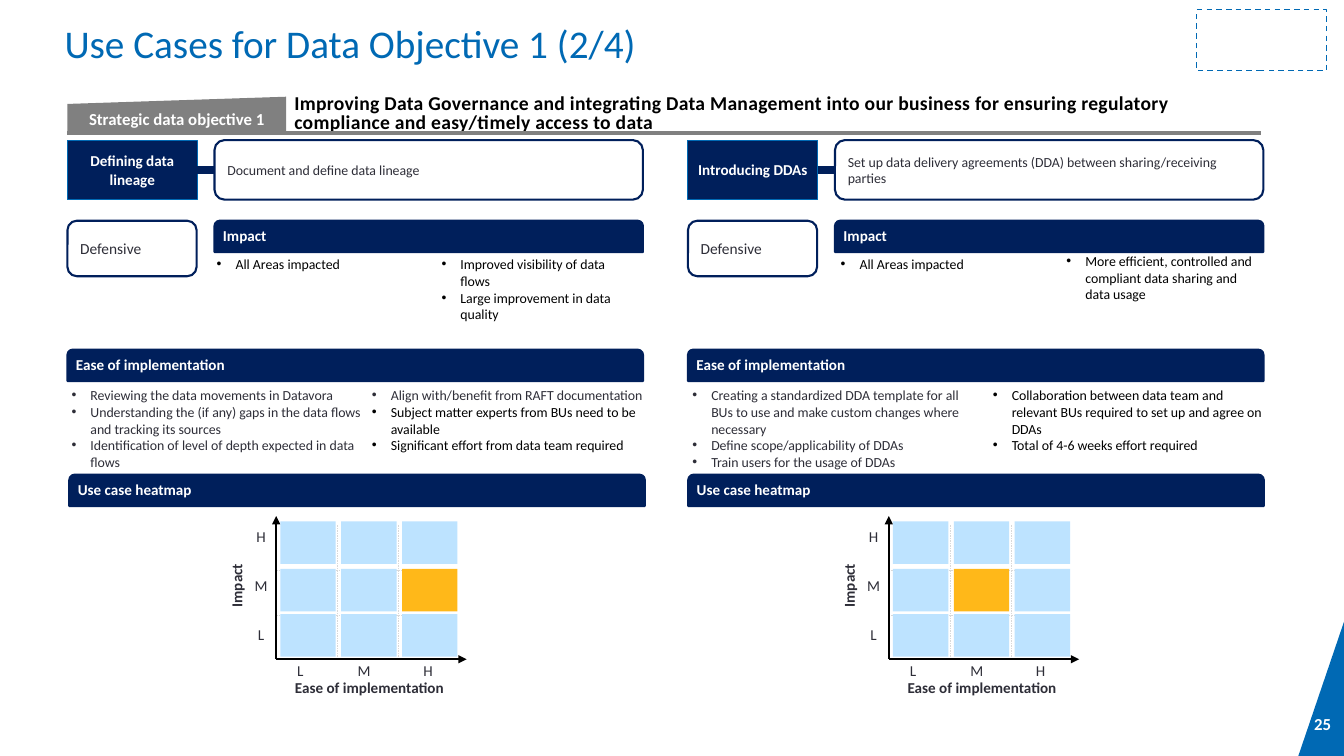
from lxml.etree import SubElement
from pptx import Presentation
from pptx.dml.color import RGBColor
from pptx.enum.dml import MSO_LINE as DASH
from pptx.enum.shapes import MSO_CONNECTOR as CONN, MSO_SHAPE as SHAPE
from pptx.enum.text import MSO_ANCHOR as ANCHOR, PP_ALIGN as ALIGN
from pptx.oxml.ns import qn
from pptx.util import Pt

COLORS = {
    "navy": "001F5B", "blue": "0069B4", "ink": "2E2E38", "black": "000000",
    "white": "FFFFFF", "gray": "808080", "grid": "D9D9D9",
    "cell": "BDE3FF", "hit": "FFB819",
}
FONT = "Calibri"
LEVELS = "LMH"
HEADER_H = 22.4

USE_CASES = [
    {
        "x": 48.2, "heat_x": 197.3, "heat_head_x": 49.5, "hit": (1, 2),
        "name": "Defining data lineage",
        "summary": "Document and define data lineage",
        "lists": [
            ((154.8, 179.3, 170), [("All Areas impacted", "black")]),
            ((315.4, 179.3, 136), [
                ("Improved visibility of data flows", "black"),
                ("Large improvement in data quality", "black")]),
            ((51.1, 272.9, 212.4), [
                ("Reviewing the data movements in Datavora", "ink"),
                ("Understanding the (if any) gaps in the data flows and tracking its sources", "ink"),
                ("Identification of level of depth expected in data flows", "ink")]),
            ((265.7, 272.9, 194), [
                ("Align with/benefit from RAFT documentation", "ink"),
                ("Subject matter experts from BUs need to be available", "black"),
                ("Significant effort from data team required", "black")]),
        ],
    },
    {
        "x": 491.4, "heat_x": 634.9, "heat_head_x": 491.6, "hit": (1, 1),
        "name": "Introducing DDAs",
        "summary": "Set up data delivery agreements (DDA) between sharing/receiving parties",
        "lists": [
            ((600.5, 179.3, 157.7), [("All Areas impacted", "black")]),
            ((761.8, 177.1, 136), [
                ("More efficient, controlled and compliant data sharing and data usage", "black")]),
            ((494.6, 272.9, 206.6), [
                ("Creating a standardized DDA template for all BUs to use and make custom "
                 "changes where necessary", "ink"),
                ("Define scope/applicability of DDAs", "ink"),
                ("Train users for the usage of DDAs", "ink")]),
            ((709.2, 272.9, 193), [
                ("Collaboration between data team and relevant BUs required to set up and "
                 "agree on DDAs", "black"),
                ("Total of 4-6 weeks effort required", "black")]),
        ],
    },
]


def rgb(name):
    return RGBColor.from_string(COLORS[name])


def write(sp, text, size=10.8, color="ink", bold=False, align=ALIGN.LEFT,
          anchor=ANCHOR.TOP, inset=(7.2, 3.6, 7.2, 3.6), spacing=None,
          after=0, track=None, bullet=False, wrap=True):
    """Fill a shape with one text, or with a list of (text, colour) paragraphs."""
    tf = sp.text_frame
    tf.word_wrap = wrap
    tf.vertical_anchor = anchor
    tf.margin_left, tf.margin_top, tf.margin_right, tf.margin_bottom = map(Pt, inset)
    items = [(text, color)] if isinstance(text, str) else text
    for i, (words, tone) in enumerate(items):
        p = tf.add_paragraph() if i else tf.paragraphs[0]
        p.alignment = align
        p.space_before, p.space_after = Pt(0), Pt(after)
        if spacing:
            p.line_spacing = spacing
        if bullet:
            pPr = p._p.get_or_add_pPr()
            pPr.set("marL", str(Pt(13.5)))
            pPr.set("indent", str(-Pt(13.5)))
            SubElement(pPr, qn("a:buFont"), typeface="Arial")
            SubElement(pPr, qn("a:buChar"), char="•")
        r = p.add_run()
        r.text = words
        r.font.name, r.font.size, r.font.bold = FONT, Pt(size), bold
        r.font.color.rgb = rgb(tone)
        if track:
            r._r.get_or_add_rPr().set("spc", str(track))


class Board:
    """Draws styled elements on one slide, with lengths in points."""

    def __init__(self, prs):
        self.s = prs.slides.add_slide(prs.slide_layouts[5])

    def paint(self, sp, fill=None, line=None, width=1.5, dash=None):
        sp.shadow.inherit = False
        if fill:
            sp.fill.solid()
            sp.fill.fore_color.rgb = rgb(fill)
        else:
            sp.fill.background()
        if line:
            sp.line.color.rgb = rgb(line)
            sp.line.width = Pt(width)
            if dash:
                sp.line.dash_style = dash
        else:
            sp.line.fill.background()
        return sp

    def title(self, text, box):
        sp = self.s.shapes.title
        sp.left, sp.top, sp.width, sp.height = map(Pt, box)
        write(sp, text, size=28, color="blue", inset=(0, 0, 0, 5.8), spacing=0.9)

    def shape(self, kind, box, **style):
        return self.paint(self.s.shapes.add_shape(kind, *map(Pt, box)), **style)

    def polygon(self, points, **style):
        fb = self.s.shapes.build_freeform(*map(Pt, points[0]), scale=1)
        fb.add_line_segments([tuple(map(Pt, pt)) for pt in points[1:]])
        return self.paint(fb.convert_to_shape(), **style)

    def text(self, text, box, **fmt):
        sp = self.s.shapes.add_textbox(*map(Pt, box))
        write(sp, text, **fmt)
        return sp

    def label(self, text, box, **fmt):
        return self.text(text, box, align=ALIGN.CENTER, inset=(0, 2.9, 0, 0),
                         spacing=0.85, after=5.4, **fmt)

    def line(self, x1, y1, x2, y2, color, width, dash=None, arrow=False):
        c = self.s.shapes.add_connector(CONN.STRAIGHT, *map(Pt, (x1, y1, x2, y2)))
        c.line.color.rgb = rgb(color)
        c.line.width = Pt(width)
        if dash:
            c.line.dash_style = dash
        spPr = c._element.spPr
        if arrow:
            SubElement(spPr.find(qn("a:ln")), qn("a:tailEnd"), type="triangle")
        SubElement(spPr, qn("a:effectLst"))
        return c

    def header(self, text, x, y, w):
        sp = self.shape(SHAPE.ROUND_2_SAME_RECTANGLE, (x, y, w, HEADER_H),
                        fill="navy", line="navy")
        write(sp, text, color="white", bold=True, inset=(5, 2.9, 2.9, 2.9), after=0.9)

    def card(self, text, box, size):
        sp = self.shape(SHAPE.ROUNDED_RECTANGLE, box, fill="white", line="navy")
        write(sp, text, size=size, anchor=ANCHOR.MIDDLE)
        return sp

    def heatmap(self, x, hit):
        base = 470.9
        for i, y in enumerate((407.5, 439.2)):
            grid_x = x + 43.6 * (i + 1)
            self.line(x, y, x + 128, y, "grid", 0.25, DASH.DASH)
            self.line(grid_x, base, grid_x, 375.1, "grid", 0.25, DASH.DASH)
        self.line(x, base, x, 368.6, "black", 1.25, arrow=True)
        self.line(x, base, x + 136, base, "black", 1.25, arrow=True)
        for row, y in enumerate((372.4, 406.4, 438.7)):
            for col in range(3):
                self.shape(SHAPE.RECTANGLE, (x + 2.9 + 43.5 * col, y, 39.6, 30.4),
                           fill="hit" if (row, col) == hit else "cell")
        for i, level in enumerate(LEVELS):
            self.label(level, (x - 20.2, 445.9 - 34.9 * i, 18.7, 13.7))
            self.label(level, (x + 7.9 + 45.6 * i, 471.2, 18.7, 13.7))
        self.label("Ease of implementation", (x - 4.3, 483.8, 141.8, 13.7), bold=True)
        sp = self.label("Impact", (x - 81.6, 411.4, 105.1, 13.7), bold=True)
        sp.rotation = 270

    def use_case(self, case):
        x = case["x"]
        name = self.shape(SHAPE.RECTANGLE, (x, 100.1, 92.7, 42.5),
                          fill="navy", line="blue", width=0.75)
        write(name, case["name"], color="white", bold=True, align=ALIGN.CENTER,
              anchor=ANCHOR.MIDDLE, inset=(5, 5, 5, 5))
        summary = self.card(case["summary"], (x + 105, 100.1, 306, 42.5), 9.9)
        link = self.line(x + 92.7, 121.3, x + 105, 121.3, "navy", 6)
        link.begin_connect(name, 3)
        link.end_connect(summary, 1)
        self.card("Defensive", (x, 157.7, 92.2, 39.6), 11)
        self.header("Impact", x + 105, 157.7, 306)
        self.header("Ease of implementation", x, 249.8, 411.1)
        self.header("Use case heatmap", case["heat_head_x"], 339.1, 411.1)
        for (left, top, width), items in case["lists"]:
            self.text(items, (left, top, width, 20 * len(items)), size=9.9,
                      inset=(0, 3.6, 0, 3.6), bullet=True)
        self.heatmap(case["heat_x"], case["hit"])


def main():
    prs = Presentation()
    prs.slide_width, prs.slide_height = Pt(960), Pt(540)
    b = Board(prs)
    b.title("Use Cases for Data Objective 1 (2/4)", (46.1, 17.3, 864, 36.7))
    b.polygon([(927.4, 540), (960, 444.2), (960, 540)], fill="blue")
    b.text("25", (931.7, 506.2, 28.8, 21.6), size=12, color="white", bold=True, wrap=False)
    b.shape(SHAPE.RECTANGLE, (854.6, 7, 93, 43.5), line="blue", width=1, dash=DASH.DASH)
    b.text("Improving Data Governance and integrating Data Management into our business "
           "for ensuring regulatory compliance and easy/timely access to data",
           (204.5, 70.6, 696.2, 22.3), size=14, color="black", bold=True,
           anchor=ANCHOR.MIDDLE, inset=(5.8, 7.2, 5.8, 7.2), spacing=Pt(13.5), track=20)
    b.line(48.2, 95, 900.7, 95, "gray", 2.25)
    tag = b.shape(SHAPE.FLOWCHART_MANUAL_INPUT, (48.2, 69.1, 156.3, 25.9), fill="gray")
    write(tag, "Strategic data objective 1", size=12, color="white", bold=True,
          align=ALIGN.CENTER, anchor=ANCHOR.MIDDLE)
    for case in USE_CASES:
        b.use_case(case)
    prs.save("out.pptx")


if __name__ == "__main__":
    main()
